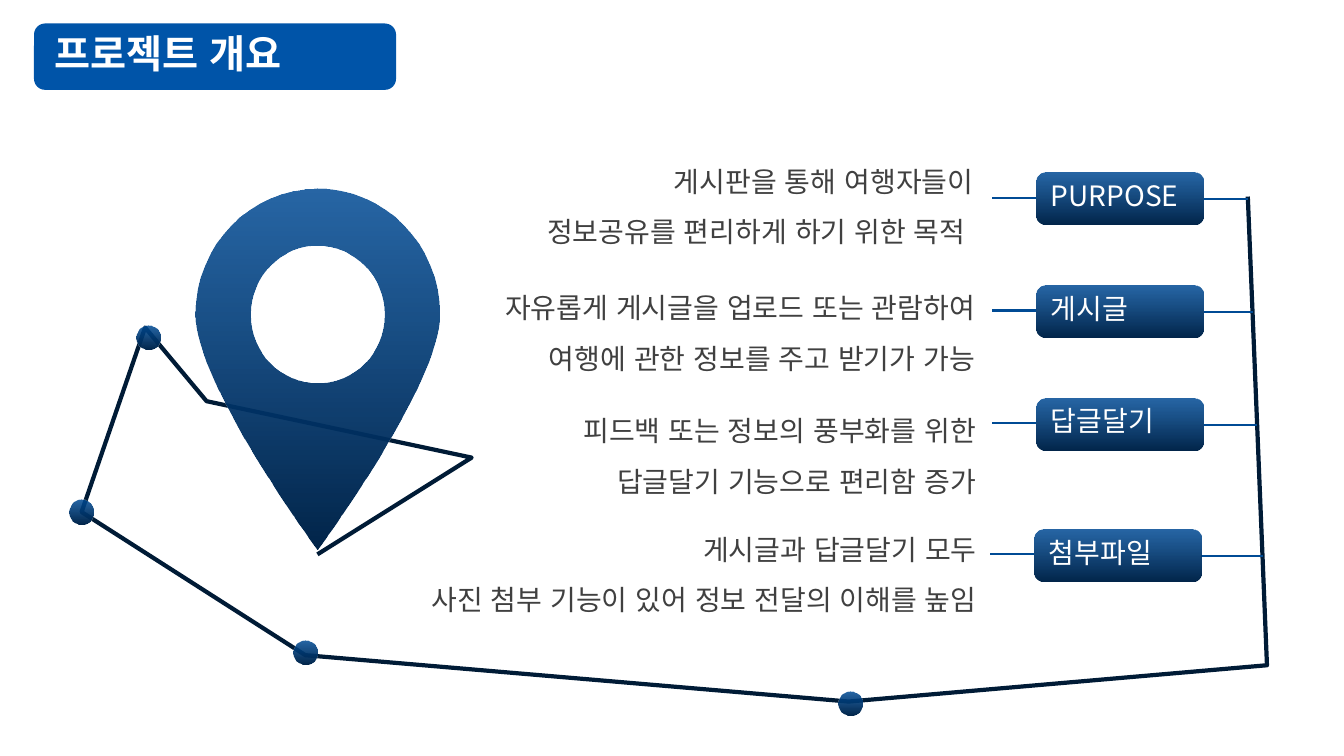
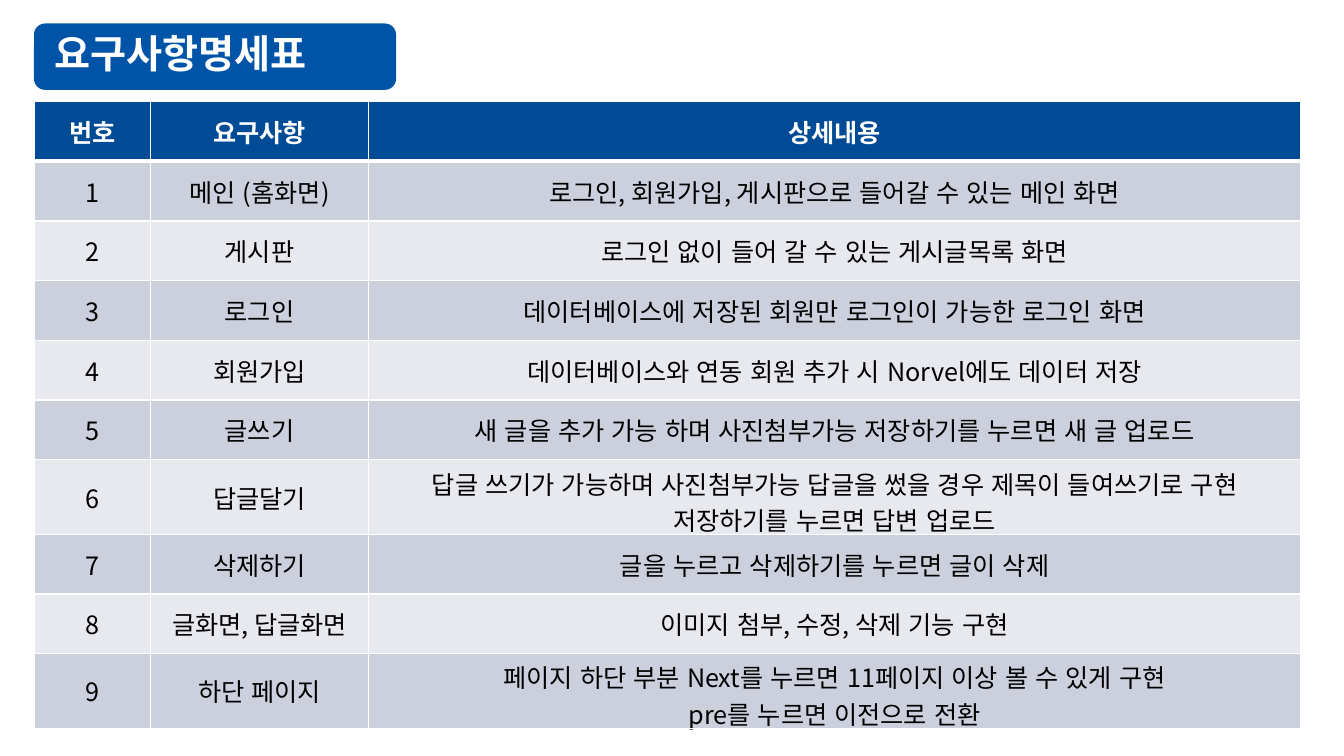
"""Build the project overview and requirement table slides."""
import pptx
import pptx.dml.color
import pptx.enum.lang
import pptx.enum.shapes
import pptx.enum.text
import pptx.oxml.ns
import pptx.util
from lxml import etree

RGBColor = pptx.dml.color.RGBColor
WHITE = RGBColor(0xFF, 0xFF, 0xFF)
BLACK = RGBColor(0x00, 0x00, 0x00)
BODY_GRAY = RGBColor(0x40, 0x40, 0x40)
BAND_BLUE = RGBColor(0x00, 0x54, 0xA8)
DEEP_BLUE = RGBColor(0x00, 0x4B, 0x95)
DARK_BLUE = RGBColor(0x00, 0x25, 0x4A)
ROUTE_NAVY = RGBColor(0x00, 0x1B, 0x36)
ROW_SHADES = (RGBColor(0xCC, 0xD0, 0xDD), RGBColor(0xE7, 0xE9, 0xEF))
FONT = "Noto Sans CJK KR"

COLUMNS, ROWS = 160, 90
SLIDE_HEIGHT = pptx.util.Inches(7.5)
CELL = SLIDE_HEIGHT / ROWS
LEFT_MARGIN = 4.05

ALIGN = pptx.enum.text.PP_ALIGN
MIDDLE = pptx.enum.text.MSO_ANCHOR.MIDDLE
GROW = pptx.enum.text.MSO_AUTO_SIZE.SHAPE_TO_FIT_TEXT
SHAPES = pptx.enum.shapes.MSO_SHAPE
KOREAN = pptx.enum.lang.MSO_LANGUAGE_ID.KOREAN
qn = pptx.oxml.ns.qn

BADGE_WIDTH, BADGE_HEIGHT = 19.92, 6.24
STOP_SIZE = 2.88
STOPS = [(9.7, 60.96), (36.36, 77.64), (101.28, 83.76), (17.64, 40.2)]
RAIL_BOTTOM, RAIL_TOP = (150.84, 79.2), (148.56, 23.4)
ROUTE = [(37.8, 66), (56.16, 54.48), (24.6, 47.76), (17.28, 39), (9.72, 60.96),
         (36.36, 78), (101.04, 83.52), RAIL_BOTTOM, RAIL_TOP]
PIN_CENTER = (37.8, 37.44)
FEATURES = [
    ("PURPOSE", 123.36, 20.52, 115.9, 17.55, 63.7,
     "게시판을 통해 여행자들이\n정보공유를 편리하게 하기 위한 목적 "),
    ("게시글", 123.36, 33.96, 116.1, 32.64, 63.7,
     "자유롭게 게시글을 업로드 또는 관람하여\n여행에 관한 정보를 주고 받기가 가능"),
    ("답글달기", 123.36, 47.4, 116.2, 47.25, 63.7,
     "피드백 또는 정보의 풍부화를 위한\n답글달기 기능으로 편리함 증가"),
    ("첨부파일", 123.12, 63, 116.3, 61.35, 72,
     "게시글과 답글달기 모두\n사진 첨부 기능이 있어 정보 전달의 이해를 높임"),
]

TABLE_COLUMNS = (13.9, 25.9, 111)
ROW_HEIGHT, TALL_ROW_HEIGHT = 7.11, 8.88
TALL_ROWS = (6, 9)
HEADER = ("번호", "요구사항", "상세내용")
REQUIREMENTS = [
    ("메인 (홈화면)", "로그인, 회원가입, 게시판으로 들어갈 수 있는 메인 화면"),
    ("게시판", "로그인 없이 들어 갈 수 있는 게시글목록 화면"),
    ("로그인", "데이터베이스에 저장된 회원만 로그인이 가능한 로그인 화면"),
    ("회원가입", "데이터베이스와 연동 회원 추가 시 Norvel에도 데이터 저장"),
    ("글쓰기", "새 글을 추가 가능 하며 사진첨부가능 저장하기를 누르면 새 글 업로드"),
    ("답글달기", "답글 쓰기가 가능하며 사진첨부가능 답글을 썼을 경우 제목이 들여쓰기로 구현 "
     "저장하기를 누르면 답변 업로드"),
    ("삭제하기", "글을 누르고 삭제하기를 누르면 글이 삭제"),
    ("글화면, 답글화면", "이미지 첨부, 수정, 삭제 기능 구현"),
    ("하단 페이지", "페이지 하단 부분 Next를 누르면 11페이지 이상 볼 수 있게 구현\n"
     "pre를 누르면 이전으로 전환"),
]


def cells(*lengths):
    """Convert grid cells to slide lengths."""
    return [pptx.util.Emu(round(length * CELL)) for length in lengths]


def write(frame, text, size, color, align, bold=False, spacing=None):
    """Fill a text frame and format all of its paragraphs."""
    frame.text = text
    for paragraph in frame.paragraphs:
        paragraph.alignment = align
        if spacing:
            paragraph.line_spacing = spacing
        for run in paragraph.runs:
            run.font.size = pptx.util.Pt(size)
            run.font.bold = bold
            run.font.color.rgb = color
            run.font.language_id = KOREAN
            run.font.name = FONT
            etree.SubElement(run.font._element, qn("a:ea"), typeface=FONT)


def set_margins(frame, left=0, bottom=0):
    """Give a wrapping text frame its margins in cells."""
    frame.word_wrap = True
    frame.margin_left, frame.margin_bottom = cells(left, bottom)
    frame.margin_right = frame.margin_top = 0


def fade_blue(shape):
    """Fill a shape with the vertical blue gradient and no outline."""
    shape.shadow.inherit = False
    shape.line.fill.background()
    shape.fill.gradient()
    shape.fill.gradient_angle = 270
    for stop, color, position in zip(shape.fill.gradient_stops, (DEEP_BLUE, DARK_BLUE), (0, 1)):
        stop.color.rgb = color
        stop.position = position
    top_color = next(shape._element.iter(qn("a:srgbClr")))
    etree.SubElement(top_color, qn("a:alpha"), val="85000")


def add_outline(slide, contours, close):
    """Add a freeform made of one or more contours."""
    first, *others = [[cells(*point) for point in contour] for contour in contours]
    builder = slide.shapes.build_freeform(*first[0])
    builder.add_line_segments(first[1:], close=close)
    for contour in others:
        builder.move_to(*contour[0])
        builder.add_line_segments(contour[1:], close=close)
    outline = builder.convert_to_shape()
    outline.shadow.inherit = False
    return outline


def bend(outline):
    """Turn every three line segments of an outline into one cubic curve."""
    segments = list(outline._element.iter(qn("a:lnTo")))
    for first, second, third in zip(*[iter(segments)] * 3):
        cubic = etree.Element(qn("a:cubicBezTo"))
        first.addprevious(cubic)
        for segment in (first, second, third):
            cubic.append(segment[0])
            segment.getparent().remove(segment)


def add_link(slide, start, end):
    """Add a thin blue connector between two grid points."""
    link = slide.shapes.add_connector(
        pptx.enum.shapes.MSO_CONNECTOR.STRAIGHT, *cells(*start, *end))
    link.line.color.rgb = DEEP_BLUE
    link.line.width = pptx.util.Pt(1.5)
    etree.SubElement(link._element.spPr, qn("a:effectLst"))


def add_pin(slide):
    """Add the map pin with its round hole."""
    x, y = PIN_CENTER
    tip = (x, y + 27.96)
    body = [(0, -15), (-8, -15), (-14.52, -8.2), (-14.52, 0), (-14.52, 8.28), tip, tip,
            tip, (14.52, 8.28), (14.52, 0), (14.52, -8.2), (8, -15), (0, -15)]
    hole = [(0, -8.16), (4.4, -8.16), (7.95, -4.5), (7.95, 0), (7.95, 4.5), (4.4, 8.16),
            (0, 8.16), (-4.4, 8.16), (-7.95, 4.5), (-7.95, 0), (-7.95, -4.5),
            (-4.4, -8.16), (0, -8.16)]
    contours = [[point if point == tip else (x + point[0], y + point[1]) for point in contour]
                for contour in (body, hole)]
    pin = add_outline(slide, contours, close=True)
    bend(pin)
    fade_blue(pin)


def add_route(slide):
    """Add the route line, the pin and the stops."""
    route = add_outline(slide, [ROUTE], close=False)
    route.fill.background()
    route.line.color.rgb = ROUTE_NAVY
    route.line.width = pptx.util.Pt(3)
    add_pin(slide)
    for x, y in STOPS:
        fade_blue(slide.shapes.add_shape(SHAPES.OVAL, *cells(
            x - STOP_SIZE / 2, y - STOP_SIZE / 2, STOP_SIZE, STOP_SIZE)))


def rail_x(y):
    """Return where the right stretch of the route passes a height."""
    share = (y - RAIL_TOP[1]) / (RAIL_BOTTOM[1] - RAIL_TOP[1])
    return RAIL_TOP[0] + share * (RAIL_BOTTOM[0] - RAIL_TOP[0])


def add_feature(slide, label, left, top, text_right, text_top, text_width, description):
    """Add a badge with its links and description."""
    left_y, right_y = top + 3, top + 3.22
    add_link(slide, (left, left_y), (left - 5.28, left_y))
    add_link(slide, (rail_x(right_y), right_y), (left + BADGE_WIDTH, right_y))
    badge = slide.shapes.add_shape(
        SHAPES.ROUNDED_RECTANGLE, *cells(left, top, BADGE_WIDTH, BADGE_HEIGHT))
    fade_blue(badge)
    set_margins(badge.text_frame, left=1.45, bottom=0.35)
    badge.text_frame.vertical_anchor = MIDDLE
    write(badge.text_frame, label, 20, WHITE, ALIGN.JUSTIFY, spacing=0.9)
    body = slide.shapes.add_textbox(*cells(text_right - text_width, text_top, text_width, 12.1))
    set_margins(body.text_frame)
    body.text_frame.auto_size = GROW
    write(body.text_frame, description, 20, BODY_GRAY, ALIGN.RIGHT, spacing=1.5)


def add_titled_slide(deck, heading):
    """Add a slide whose title sits on the blue band."""
    slide = deck.slides.add_slide(deck.slide_layouts.get_by_name("Title Only"))
    band = slide.shapes.add_shape(
        SHAPES.ROUNDED_RECTANGLE, *cells(LEFT_MARGIN, 2.8, 43.1, 7.9))
    band.shadow.inherit = False
    band.fill.solid()
    band.fill.fore_color.rgb = BAND_BLUE
    band.line.fill.background()
    title = slide.shapes.title
    title.left, title.top, title.width, title.height = cells(6.5, 4.2, 39.1, 5)
    set_margins(title.text_frame)
    title.text_frame.vertical_anchor = MIDDLE
    title.text_frame.auto_size = GROW
    write(title.text_frame, heading, 28, WHITE, ALIGN.JUSTIFY, bold=True, spacing=0.9)
    band._element.addnext(title._element)
    return slide


def add_borders(cell, top, bottom):
    """Draw white borders around a table cell."""
    properties = cell._tc.get_or_add_tcPr()
    for edge, points in (("L", 1), ("R", 1), ("T", top), ("B", bottom)):
        line = etree.SubElement(properties, qn(f"a:ln{edge}"), w=str(pptx.util.Pt(points)))
        fill = etree.SubElement(line, qn("a:solidFill"))
        etree.SubElement(fill, qn("a:srgbClr"), val=str(WHITE))


def add_requirements(slide):
    """Add the table of numbered requirements."""
    records = [HEADER] + [(str(number), *item) for number, item in enumerate(REQUIREMENTS, 1)]
    heights = [TALL_ROW_HEIGHT if row in TALL_ROWS else ROW_HEIGHT for row in range(len(records))]
    table = slide.shapes.add_table(
        len(records), len(HEADER),
        *cells(LEFT_MARGIN, 12.1, sum(TABLE_COLUMNS), sum(heights))).table
    for column, width in zip(table.columns, cells(*TABLE_COLUMNS)):
        column.width = width
    for row, height in zip(table.rows, cells(*heights)):
        row.height = height
    for row, record in enumerate(records):
        is_header = row == 0
        for column, text in enumerate(record):
            cell = table.cell(row, column)
            add_borders(cell, 3 if row == 1 else 1, 3 if is_header else 1)
            cell.fill.solid()
            cell.fill.fore_color.rgb = DEEP_BLUE if is_header else ROW_SHADES[(row - 1) % 2]
            cell.vertical_anchor = MIDDLE
            write(cell.text_frame, text, 18, WHITE if is_header else BLACK,
                  ALIGN.CENTER, bold=is_header)


def main():
    """Build and save the deck."""
    deck = pptx.Presentation()
    deck.slide_width, deck.slide_height = cells(COLUMNS, ROWS)
    overview = add_titled_slide(deck, "프로젝트 개요")
    add_route(overview)
    for feature in FEATURES:
        add_feature(overview, *feature)
    add_requirements(add_titled_slide(deck, "요구사항명세표"))
    deck.save("out.pptx")


if __name__ == "__main__":
    main()
